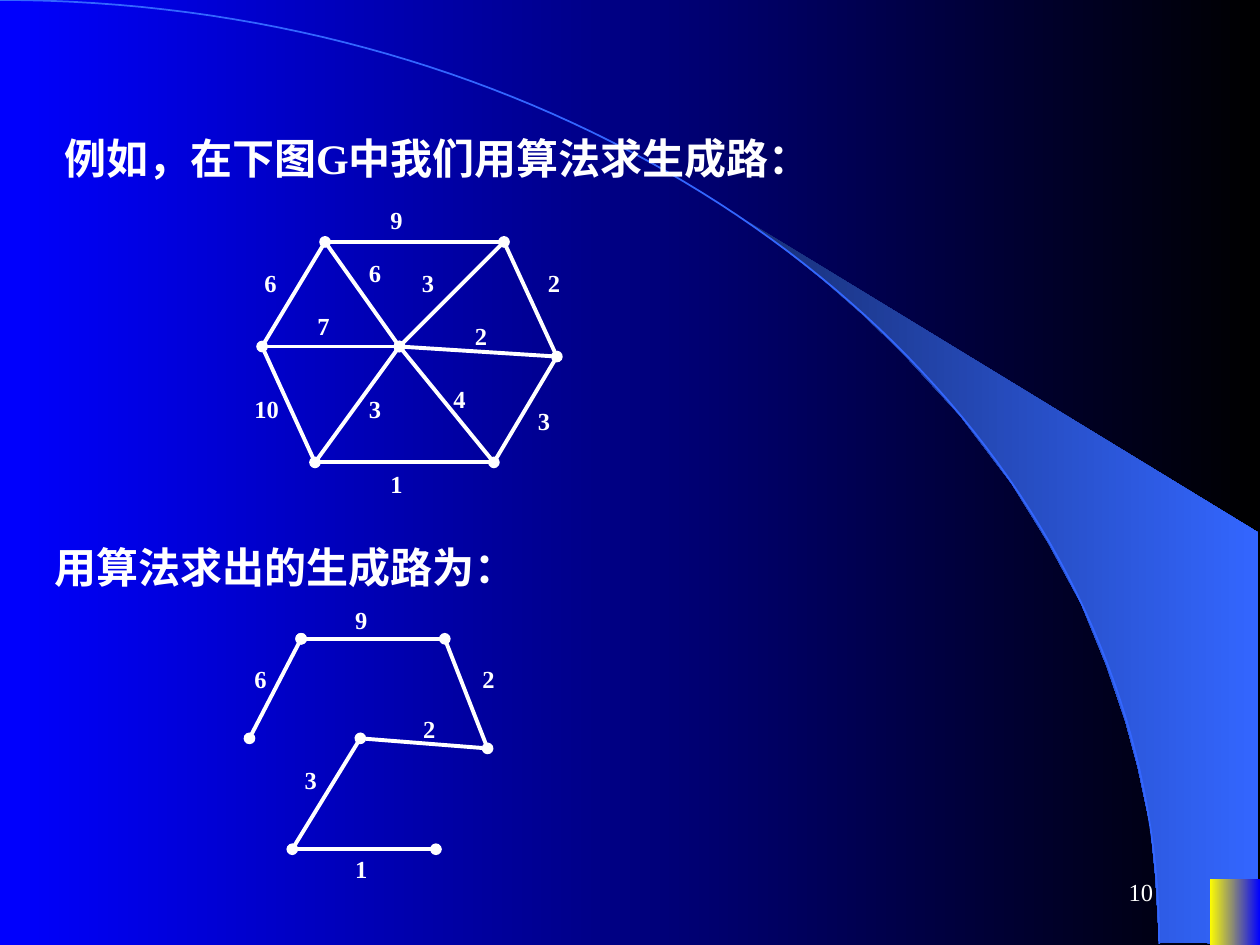
from lxml.etree import SubElement
from pptx import Presentation
from pptx.dml.color import RGBColor
from pptx.enum.shapes import MSO_CONNECTOR, MSO_SHAPE
from pptx.enum.text import MSO_ANCHOR, PP_ALIGN
from pptx.oxml.ns import qn
from pptx.util import Inches, Pt

COLORS = {
    "white": "FFFFFF", "black": "000000", "blue": "0000FF",
    "navy": "182F76", "sky": "3366FF", "yellow": "FFFF00",
}
FONT = "Times New Roman"
WEDGE = [
    (9.2, 7.48), (9.99, 7.49), (9.99, 4.23), (5.89, 1.73), (6.24, 1.99),
    (6.53, 2.22), (6.85, 2.5), (7.16, 2.8), (7.62, 3.3), (8.03, 3.84),
    (8.32, 4.31), (8.58, 4.79), (8.78, 5.28), (8.93, 5.72), (9.03, 6.09),
    (9.13, 6.56), (9.17, 6.96),
]
ARC = [(0, 0), (5.08, 0), (9.2, 3.35), (9.2, 7.49)]

GRAPH_NODES = {
    "top_left": (2.58, 1.92), "top_right": (4, 1.92), "left": (2.08, 2.75),
    "center": (3.17, 2.75), "right": (4.42, 2.83),
    "bottom_left": (2.5, 3.67), "bottom_right": (3.92, 3.67),
}
GRAPH_EDGES = [
    ("top_left", "top_right", True), ("top_left", "left", False),
    ("top_right", "right", False), ("left", "bottom_left", False),
    ("bottom_left", "bottom_right", True), ("right", "bottom_right", False),
    ("top_left", "center", False), ("left", "center", True),
    ("center", "bottom_left", False), ("center", "bottom_right", False),
    ("center", "right", True), ("top_right", "center", False),
]
GRAPH_WEIGHTS = [
    ("3", 2.83, 3.08), ("1", 3, 3.67), ("2", 4.25, 2.08), ("2", 3.67, 2.5),
    ("3", 4.17, 3.17), ("4", 3.5, 3), ("3", 3.25, 2.08), ("6", 2.83, 2),
    ("6", 2, 2.08), ("7", 2.42, 2.42), ("9", 3, 1.58), ("10", 1.92, 3.08),
]
ROUTE_NODES = {
    "top_left": (2.39, 5.07), "top_right": (3.53, 5.07), "left": (1.98, 5.86),
    "center": (2.86, 5.86), "right": (3.87, 5.94),
    "bottom_left": (2.32, 6.74), "bottom_right": (3.46, 6.74),
}
ROUTE_EDGES = [
    ("top_left", "top_right", True), ("top_left", "left", True),
    ("top_right", "right", False), ("bottom_left", "bottom_right", True),
    ("center", "right", True), ("center", "bottom_left", False),
]
ROUTE_WEIGHTS = [
    ("1", 2.72, 6.73), ("2", 3.73, 5.22), ("2", 3.26, 5.62),
    ("6", 1.92, 5.22), ("9", 2.72, 4.75), ("3", 2.32, 6.02),
]


def color(name):
    """Return the named colour."""
    return RGBColor.from_string(COLORS[name])


def fill_gradient(fill, start, end):
    """Apply a left-to-right gradient between two named colours."""
    fill.gradient()
    fill.gradient_angle = 0
    for stop, name in zip(fill.gradient_stops, (start, end)):
        stop.color.rgb = color(name)


def add_text(shapes, text, left, top, width, height, size=14, bold=True,
             align=PP_ALIGN.LEFT, anchor=MSO_ANCHOR.TOP, inset=0.1):
    """Add a one-paragraph text box."""
    box = shapes.add_textbox(Inches(left), Inches(top), Inches(width), Inches(height))
    frame = box.text_frame
    frame.word_wrap = True
    frame.vertical_anchor = anchor
    frame.margin_left = Inches(inset)
    paragraph = frame.paragraphs[0]
    paragraph.text = text
    paragraph.alignment = align
    font = paragraph.font
    font.name, font.size, font.bold = FONT, Pt(size), bold
    font.color.rgb = color("white")


def add_edge(shapes, start, end, dotted):
    """Draw an edge, with round node dots at both ends if dotted."""
    points = [Inches(value) for value in (*start, *end)]
    edge = shapes.add_connector(MSO_CONNECTOR.STRAIGHT, *points)
    edge.line.color.rgb = color("white")
    edge.line.width = Pt(2.25)
    if dotted:
        line = edge.line._get_or_add_ln()
        for tag in ("a:headEnd", "a:tailEnd"):
            SubElement(line, qn(tag), type="oval")
    SubElement(edge._element.spPr, qn("a:effectLst"))


def add_graph(slide, nodes, edges, weights, label_width):
    """Add a grouped weighted graph."""
    shapes = slide.shapes.add_group_shape().shapes
    for start, end, dotted in edges:
        add_edge(shapes, nodes[start], nodes[end], dotted)
    for weight, left, top in weights:
        add_text(shapes, weight, left, top, label_width, 0.34)


def add_outline(slide, points, close):
    """Add a freeform through points given in inches."""
    corners = [(Inches(x), Inches(y)) for x, y in points]
    builder = slide.shapes.build_freeform(*corners[0])
    builder.add_line_segments(corners[1:], close=close)
    shape = builder.convert_to_shape()
    shape.shadow.inherit = False
    return shape


def curve_points(controls, steps=80):
    """Return points along a cubic Bezier curve."""
    points = []
    for step in range(steps + 1):
        t = step / steps
        factors = ((1 - t) ** 3, 3 * t * (1 - t) ** 2, 3 * t * t * (1 - t), t ** 3)
        points.append(tuple(sum(f * value for f, value in zip(factors, axis))
                            for axis in zip(*controls)))
    return points


def add_backdrop(slide):
    """Add the background gradient, wedge, arc and corner block."""
    fill_gradient(slide.background.fill, "blue", "black")
    wedge = add_outline(slide, WEDGE, True)
    fill_gradient(wedge.fill, "navy", "sky")
    wedge.line.fill.background()
    arc = add_outline(slide, curve_points(ARC), False)
    arc.fill.background()
    arc.line.color.rgb = color("sky")
    arc.line.width = Pt(1)
    block = slide.shapes.add_shape(
        MSO_SHAPE.RECTANGLE, Inches(9.6), Inches(6.98), Inches(0.4), Inches(0.52))
    block.shadow.inherit = False
    fill_gradient(block.fill, "yellow", "blue")
    block.line.fill.background()


def main():
    """Build and save the slide."""
    presentation = Presentation()
    presentation.slide_width, presentation.slide_height = Inches(10), Inches(7.5)
    slide = presentation.slides.add_slide(presentation.slide_layouts[6])
    add_backdrop(slide)
    add_text(slide.shapes, "10", 7.17, 6.83, 2.08, 0.5, bold=False,
             align=PP_ALIGN.RIGHT, anchor=MSO_ANCHOR.MIDDLE)
    add_text(slide.shapes, "例如，在下图G中我们用算法求生成路：",
             0.33, 1, 8.25, 0.5, size=24, inset=0.18)
    add_graph(slide, GRAPH_NODES, GRAPH_EDGES, GRAPH_WEIGHTS, 0.43)
    add_text(slide.shapes, "用算法求出的生成路为：",
             0.25, 4.25, 8.25, 0.5, size=24, inset=0.18)
    add_graph(slide, ROUTE_NODES, ROUTE_EDGES, ROUTE_WEIGHTS, 0.35)
    presentation.save("out.pptx")


if __name__ == "__main__":
    main()
